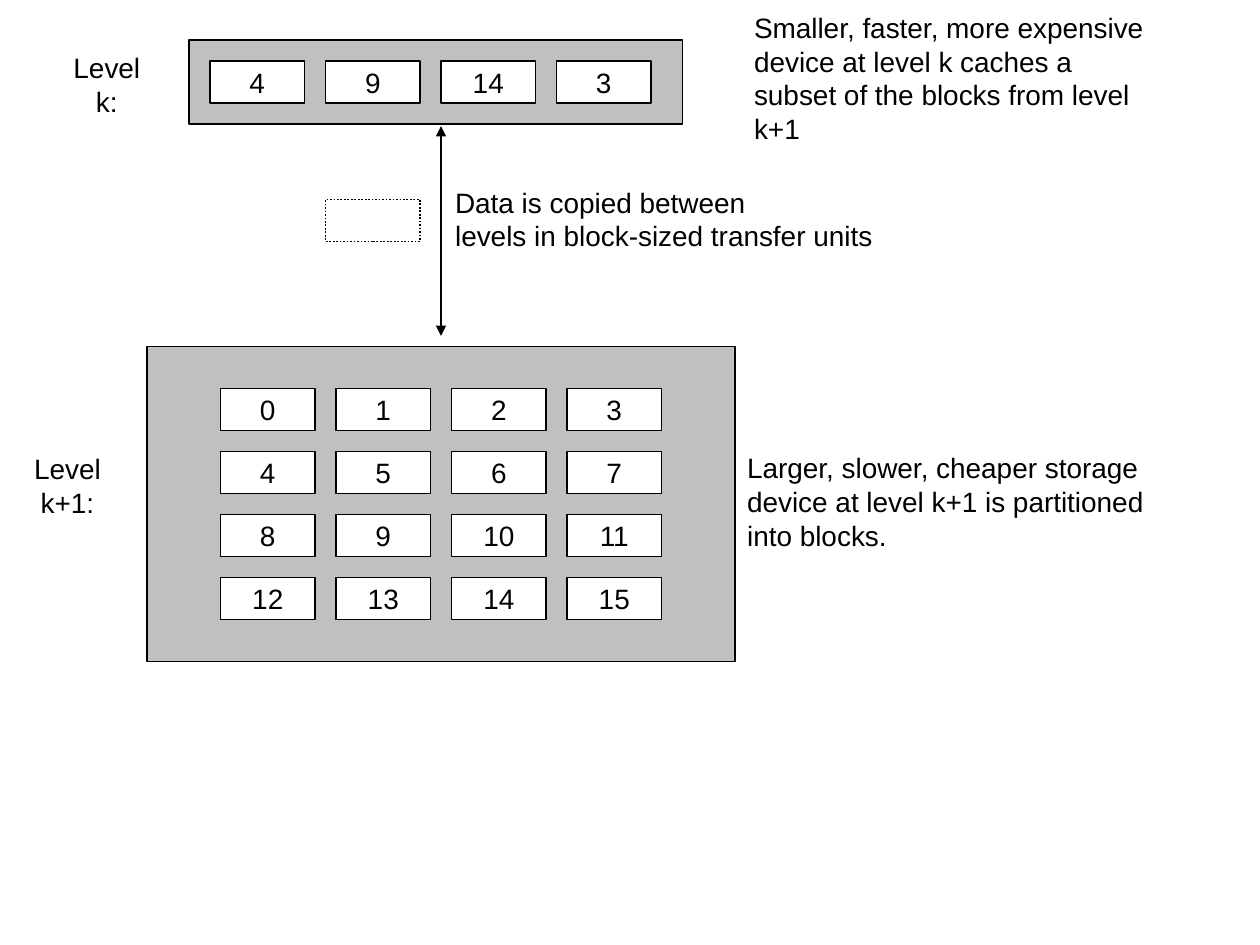
from lxml import etree
from pptx import Presentation
from pptx.dml.color import RGBColor
from pptx.enum.dml import MSO_LINE
from pptx.enum.shapes import MSO_CONNECTOR, MSO_SHAPE
from pptx.enum.text import MSO_ANCHOR, MSO_AUTO_SIZE, PP_ALIGN
from pptx.oxml.ns import qn
from pptx.util import Pt

BLACK = RGBColor(0x00, 0x00, 0x00)
WHITE = RGBColor(0xFF, 0xFF, 0xFF)
SILVER = RGBColor(0xC0, 0xC0, 0xC0)
RECTANGLE = MSO_SHAPE.RECTANGLE
STRAIGHT = MSO_CONNECTOR.STRAIGHT
DOTTED = MSO_LINE.ROUND_DOT
MIDDLE = MSO_ANCHOR.MIDDLE
FIT_SHAPE = MSO_AUTO_SIZE.SHAPE_TO_FIT_TEXT
LEFT, CENTER = PP_ALIGN.LEFT, PP_ALIGN.CENTER

BLOCK_WIDTH, BLOCK_HEIGHT = 54, 24
COLUMN_STEP, ROW_STEP = 66, 36
COLUMNS = 4


def write_text(frame, text, font="Arial", size=16, color=BLACK, align=LEFT, wrap=False):
    frame.word_wrap = wrap
    frame.vertical_anchor = MIDDLE
    frame.text = text
    for para in frame.paragraphs:
        para.alignment = align
        para.font.name = font
        para.font.size = Pt(size)
        para.font.color.rgb = color


class CacheDiagram:
    """Draws memory levels, their blocks and captions on one page."""

    def __init__(self, page, line_width=1):
        self.page = page
        self.line_width = Pt(line_width)

    def rectangle(self, left, top, width, height, fill=None, dash=None):
        box = self.page.shapes.add_shape(
            RECTANGLE, Pt(left), Pt(top), Pt(width), Pt(height)
        )
        box.shadow.inherit = False
        if fill is None:
            box.fill.background()
        else:
            box.fill.solid()
            box.fill.fore_color.rgb = fill
        box.line.color.rgb = BLACK
        box.line.width = self.line_width
        if dash is not None:
            box.line.dash_style = dash
        return box

    def blocks(self, left, top, numbers):
        for index, number in enumerate(numbers):
            row, column = divmod(index, COLUMNS)
            box = self.rectangle(
                left + column * COLUMN_STEP,
                top + row * ROW_STEP,
                BLOCK_WIDTH,
                BLOCK_HEIGHT,
                fill=WHITE,
            )
            write_text(box.text_frame, str(number), align=CENTER)

    def caption(self, left, top, width, height, text, **text_format):
        box = self.page.shapes.add_textbox(Pt(left), Pt(top), Pt(width), Pt(height))
        write_text(box.text_frame, text, **text_format)
        box.text_frame.auto_size = FIT_SHAPE

    def double_arrow(self, x, top, bottom):
        arrow = self.page.shapes.add_connector(
            STRAIGHT, Pt(x), Pt(top), Pt(x), Pt(bottom)
        )
        arrow.line.color.rgb = BLACK
        arrow.line.width = self.line_width
        outline = arrow.line._get_or_add_ln()
        for end in ("a:headEnd", "a:tailEnd"):
            etree.SubElement(outline, qn(end), type="triangle")
        etree.SubElement(arrow._element.spPr, qn("a:effectLst"))


def main():
    deck = Presentation()
    deck.slide_width, deck.slide_height = Pt(720), Pt(540)
    diagram = CacheDiagram(deck.slides.add_slide(deck.slide_layouts[6]))

    diagram.rectangle(108, 23, 282, 48, fill=SILVER)
    diagram.blocks(120, 35, [4, 9, 14, 3])
    diagram.rectangle(84, 198, 336, 180, fill=SILVER)
    diagram.blocks(126, 222, range(16))

    diagram.caption(
        419.8, 254, 241.2, 65,
        "Larger, slower, cheaper storage\n"
        "device at level k+1 is partitioned\n"
        "into blocks.",
    )
    diagram.caption(
        423.8, 12, 259.2, 65,
        "Smaller, faster, more expensive\n"
        "device at level k caches a\n"
        "subset of the blocks from level k+1",
    )
    diagram.double_arrow(252, 72, 192)
    diagram.rectangle(186, 114, BLOCK_WIDTH, BLOCK_HEIGHT, dash=DOTTED)
    diagram.caption(
        253, 102, 263, 46,
        "Data is copied between\nlevels in block-sized transfer units",
        wrap=True,
    )
    diagram.caption(26.6, 34.8, 69, 26.6, "Level k:", align=CENTER)
    diagram.caption(-5, 264, 87, 26.6, "Level k+1:", align=CENTER)
    deck.save("out.pptx")


if __name__ == "__main__":
    main()
